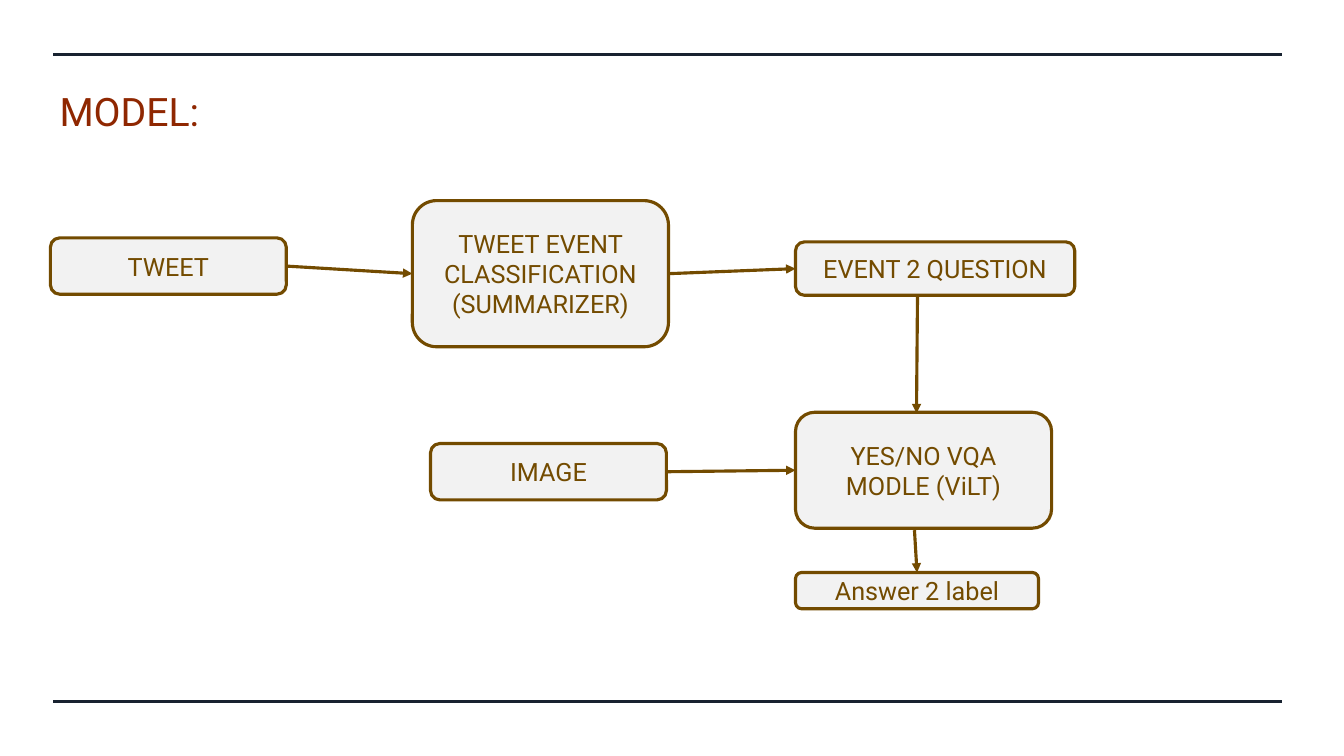
from lxml.etree import SubElement
from pptx import Presentation
from pptx.dml.color import RGBColor
from pptx.enum.shapes import MSO_CONNECTOR, MSO_SHAPE
from pptx.enum.text import MSO_ANCHOR, MSO_AUTO_SIZE, PP_ALIGN
from pptx.oxml.ns import qn
from pptx.util import Inches, Pt

FONT = "Roboto"
NAVY, RED, BROWN, GREY = "182230", "8F2701", "734B00", "F2F2F2"
TITLE = "MODEL:"
RULES_Y = [0.54, 6.96]
TOP, LEFT, BOTTOM, RIGHT = range(4)

BOXES = {
    "tweet": ("TWEET", 0.5, 2.36, 2.34, 0.56),
    "event": ("TWEET EVENT CLASSIFICATION (SUMMARIZER)", 4.09, 1.99, 2.54, 1.45),
    "question": ("EVENT 2 QUESTION", 7.89, 2.4, 2.77, 0.53),
    "vqa": ("YES/NO VQA MODLE (ViLT)", 7.89, 4.09, 2.54, 1.15),
    "image": ("IMAGE", 4.27, 4.4, 2.34, 0.56),
    "answer": ("Answer 2 label", 7.89, 5.68, 2.41, 0.36),
}

ARROWS = [
    ((2.83, 2.69), (4.08, 2.67), ("tweet", RIGHT), ("event", LEFT)),
    ((6.63, 2.69), (7.88, 2.67), ("event", RIGHT), ("question", LEFT)),
    ((9.1, 2.93), (9.09, 4.1), None, None),
    ((6.61, 4.68), (7.86, 4.67), ("image", RIGHT), ("vqa", LEFT)),
    ((9.07, 5.26), (9.07, 5.68), None, ("answer", TOP)),
]


def color(value):
    return RGBColor.from_string(value)


def add_text(tf, text, size, value, align):
    p = tf.paragraphs[0]
    p.alignment = align
    r = p.add_run()
    r.text = text
    r.font.name = FONT
    r.font.size = Pt(size)
    r.font.color.rgb = color(value)


def add_line(s, start, end, value):
    c = s.shapes.add_connector(
        MSO_CONNECTOR.STRAIGHT, *[Inches(v) for v in start + end])
    c.line.color.rgb = color(value)
    c.line.width = Pt(2.25)
    SubElement(c._element.spPr, qn("a:effectLst"))
    return c


def add_box(s, text, *place):
    sp = s.shapes.add_shape(
        MSO_SHAPE.ROUNDED_RECTANGLE, *[Inches(v) for v in place])
    sp.shadow.inherit = False
    sp.fill.solid()
    sp.fill.fore_color.rgb = color(GREY)
    sp.line.color.rgb = color(BROWN)
    sp.line.width = Pt(2.25)
    tf = sp.text_frame
    tf.word_wrap = True
    tf.vertical_anchor = MSO_ANCHOR.MIDDLE
    add_text(tf, text, 18, BROWN, PP_ALIGN.CENTER)
    return sp


def add_title(s):
    sp = s.shapes.title
    sp.left, sp.top, sp.width, sp.height = [
        Inches(v) for v in (0.49, 0.82, 10.4, 0.57)]
    tf = sp.text_frame
    tf.word_wrap = True
    tf.auto_size = MSO_AUTO_SIZE.NONE
    tf.vertical_anchor = MSO_ANCHOR.TOP
    add_text(tf, TITLE, 28, RED, PP_ALIGN.LEFT)


def main():
    prs = Presentation()
    prs.slide_width, prs.slide_height = Inches(13.33), Inches(7.5)
    s = prs.slides.add_slide(prs.slide_layouts[5])
    add_title(s)
    for y in RULES_Y:
        add_line(s, (0.53, y), (12.72, y), NAVY)
    boxes = {name: add_box(s, *box) for name, box in BOXES.items()}
    for start, end, source, target in ARROWS:
        c = add_line(s, start, end, BROWN)
        SubElement(c.line._get_or_add_ln(), qn("a:tailEnd"), type="triangle")
        if source:
            c.begin_connect(boxes[source[0]], source[1])
        if target:
            c.end_connect(boxes[target[0]], target[1])
    prs.save("out.pptx")


if __name__ == "__main__":
    main()
